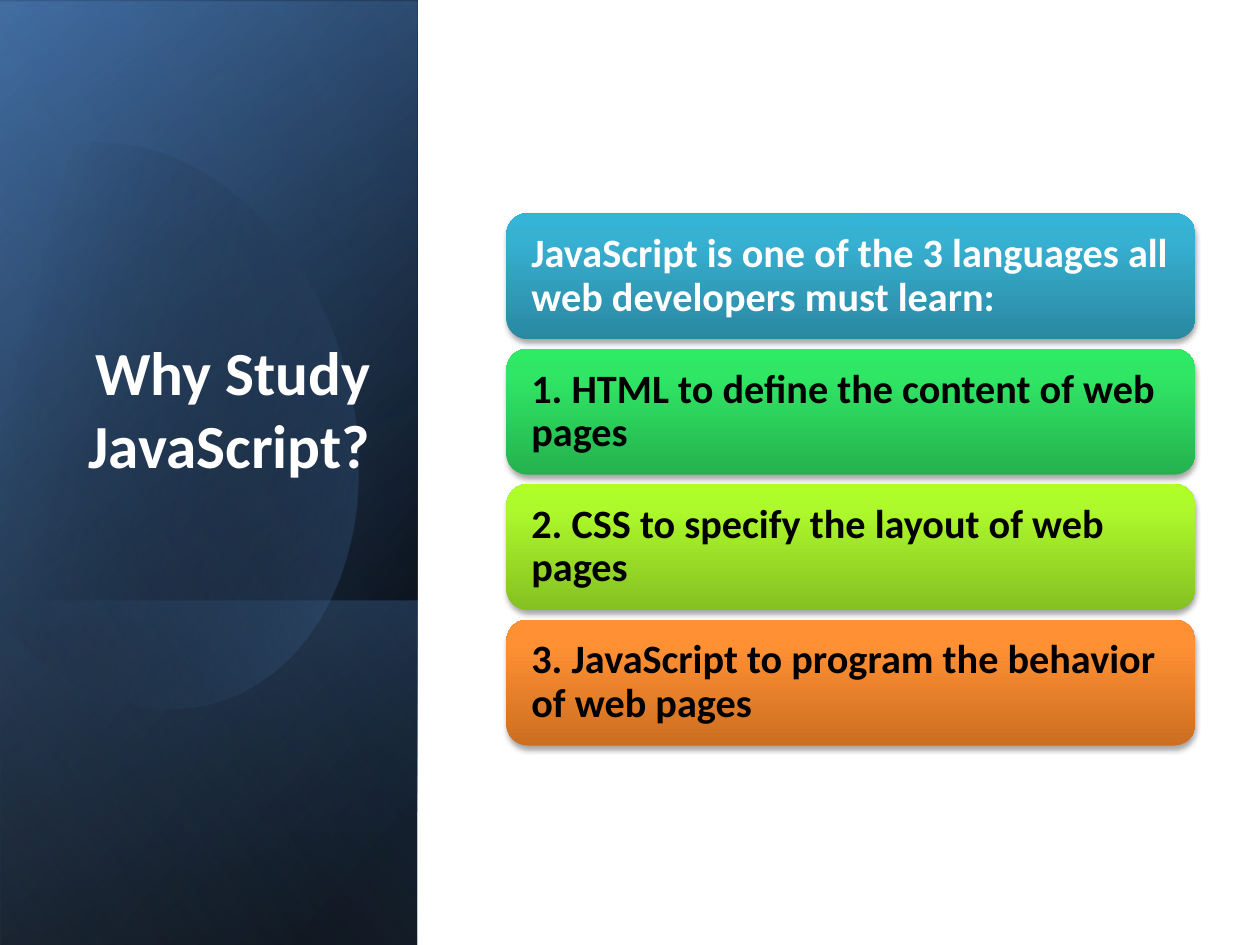
from math import cos, radians, sin

from lxml.etree import SubElement
from pptx import Presentation
from pptx.dml.color import RGBColor
from pptx.enum.shapes import MSO_SHAPE as Preset
from pptx.enum.text import MSO_ANCHOR as Anchor, PP_ALIGN as Align
from pptx.oxml.ns import qn
from pptx.util import Cm, Pt

WHITE = RGBColor(0xFF, 0xFF, 0xFF)
BLACK = RGBColor(0x00, 0x00, 0x00)
NAVY = RGBColor(0x37, 0x60, 0x92)
BLUE = RGBColor(0x4F, 0x81, 0xBD)
PALE_BLUE = RGBColor(0x95, 0xB3, 0xD7)
# Card gradients, from the bottom edge up
TEAL = [RGBColor(0x2A, 0x88, 0xA2), RGBColor(0x37, 0xB1, 0xD2), RGBColor(0x34, 0xB4, 0xD6)]
GREEN = [RGBColor(0x25, 0xB2, 0x4E), RGBColor(0x30, 0xE7, 0x65), RGBColor(0x2D, 0xEB, 0x64)]
LIME = [RGBColor(0x85, 0xC0, 0x22), RGBColor(0xAD, 0xF9, 0x2C), RGBColor(0xAF, 0xFE, 0x28)]
ORANGE = [RGBColor(0xCC, 0x6E, 0x20), RGBColor(0xFF, 0x90, 0x34), RGBColor(0xFF, 0x91, 0x36)]


def bezier(p0, p1, p2, p3, steps=16):
    """Points along a cubic curve, without its start."""
    for step in range(1, steps + 1):
        t = step / steps
        u = 1 - t
        yield tuple(u**3 * a + 3 * u * u * t * b + 3 * u * t * t * c + t**3 * d
                    for a, b, c, d in zip(p0, p1, p2, p3))


class SlideBuilder:
    font = "Calibri"
    title_size = Pt(35)
    card_size = Pt(23)

    def __init__(self, slide):
        self.slide = slide

    def gradient(self, shape, stops, angle):
        """Linear fill; each stop is (position %, colour, opacity %)."""
        shape.line.fill.background()
        shape.fill.background()
        props = shape.element.spPr
        fill = props.makeelement(qn("a:gradFill"), {"rotWithShape": "1"})
        stop_list = SubElement(fill, qn("a:gsLst"))
        for position, colour, opacity in stops:
            stop = SubElement(stop_list, qn("a:gs"), pos=str(position * 1000))
            tint = SubElement(stop, qn("a:srgbClr"), val=str(colour))
            if opacity < 100:
                SubElement(tint, qn("a:alpha"), val=str(opacity * 1000))
        SubElement(fill, qn("a:lin"), ang=str(angle * 60000), scaled="0")
        props.replace(props.find(qn("a:noFill")), fill)
        shape.shadow.inherit = False

    def panel(self, left, top, width, height, stops, angle):
        """Mirrored rectangle on its side."""
        panel = self.slide.shapes.add_shape(
            Preset.RECTANGLE, Cm(left), Cm(top), Cm(width), Cm(height))
        panel.rotation = 90
        panel.element.spPr.find(qn("a:xfrm")).set("flipH", "1")
        self.gradient(panel, stops, angle)

    def turned_outline(self, points, centre, rotation, stops, angle):
        """Closed outline given as it appears after being turned about centre."""
        cx, cy = centre
        c, s = cos(radians(-rotation)), sin(radians(-rotation))
        level = [(Cm(cx + (x - cx) * c - (y - cy) * s),
                  Cm(cy + (x - cx) * s + (y - cy) * c)) for x, y in points]
        builder = self.slide.shapes.build_freeform(*level[0])
        builder.add_line_segments(level[1:], close=True)
        outline = builder.convert_to_shape()
        outline.rotation = rotation
        self.gradient(outline, stops, angle)

    def add_text(self, frame, text, size, colour, align):
        frame.word_wrap = True
        paragraph = frame.paragraphs[0]
        paragraph.alignment = align
        run = paragraph.add_run()
        run.text = text
        run.font.name, run.font.size, run.font.bold = self.font, size, True
        run.font.color.rgb = colour
        return paragraph

    def title(self, text, left, top, width, height, space_below):
        frame = self.slide.shapes.add_textbox(
            Cm(left), Cm(top), Cm(width), Cm(height)).text_frame
        frame.vertical_anchor = Anchor.BOTTOM
        frame.margin_bottom = Cm(space_below)
        self.add_text(frame, text, self.title_size, WHITE, Align.RIGHT)

    def card(self, text, left, top, width, height, colours, text_colour):
        card = self.slide.shapes.add_shape(
            Preset.ROUNDED_RECTANGLE, Cm(left), Cm(top), Cm(width), Cm(height))
        self.gradient(card, [(pos, colour, 100) for pos, colour in zip((0, 80, 100), colours)], 270)
        # Soft shadow straight below
        shadow = SubElement(card.element.spPr.find(qn("a:effectLst")), qn("a:outerShdw"),
                            blurRad=str(Pt(3.1)), dist=str(Pt(1.8)), dir="5400000", rotWithShape="0")
        tint = SubElement(shadow, qn("a:srgbClr"), val=str(BLACK))
        SubElement(tint, qn("a:alpha"), val="35000")
        frame = card.text_frame
        frame.vertical_anchor = Anchor.MIDDLE
        frame.margin_left = frame.margin_right = Cm(0.38)
        paragraph = self.add_text(frame, text, self.card_size, text_colour, Align.LEFT)
        paragraph.line_spacing = 0.9


def main():
    deck = Presentation()
    deck.slide_width, deck.slide_height = Cm(25.4), Cm(19.05)
    page = SlideBuilder(deck.slides.add_slide(deck.slide_layouts[6]))

    # Side panel: base colour and two tints
    side = (19.05, 8.41)
    page.panel(-5.32, 5.32, *side, [(8, BLACK, 100), (100, NAVY, 100)], 50)
    page.panel(-5.32, 5.36, *side, [(0, BLACK, 0), (99, BLUE, 46)], 30)
    page.panel(0.74, 11.38, 6.96, 8.41, [(2, BLUE, 29), (100, BLACK, 30)], 130)

    # Tilted oval, cut off at the left
    oval_top = (2.44, 2.9)
    oval = [
        oval_top,
        *bezier(oval_top, (4.34, 3.1), (6.2, 4.88), (6.93, 7.37)),
        *bezier((6.93, 7.37), (7.8, 10.46), (6.65, 13.49), (4.34, 14.15)),
        *bezier((4.34, 14.15), (2.9, 14.58), (1.35, 13.97), (0.18, 12.7)),
        (-0.08, 12.4), (-0.64, 4.22), (-0.38, 3.91),
        *bezier((-0.38, 3.91), (0.05, 3.48), (0.56, 3.18), (1.14, 3.0)),
        *bezier((1.14, 3.0), (1.57, 2.87), (2.01, 2.84), oval_top),
    ]
    page.turned_outline(oval, (3.02, 8.5), 343.9, [(29, BLACK, 0), (100, BLUE, 43)], 30)

    # Sheen over the whole panel
    page.panel(-5.32, 5.32, *side, [(0, BLACK, 0), (99, PALE_BLUE, 11)], 120)

    page.title("Why Study JavaScript?", 1.22, 4.67, 6.5, 6.65, space_below=1.62)

    # Stack of cards
    cards = [
        ("JavaScript is one of the 3 languages all web developers must learn:", TEAL, WHITE),
        ("1. HTML to define the content of web pages", GREEN, BLACK),
        ("2. CSS to specify the layout of web pages", LIME, BLACK),
        ("3. JavaScript to program the behavior of web pages", ORANGE, BLACK),
    ]
    for row, (text, colours, text_colour) in enumerate(cards):
        page.card(text, 10.21, 4.3 + row * 2.73, 13.89, 2.54, colours, text_colour)

    deck.save("out.pptx")


if __name__ == "__main__":
    main()
